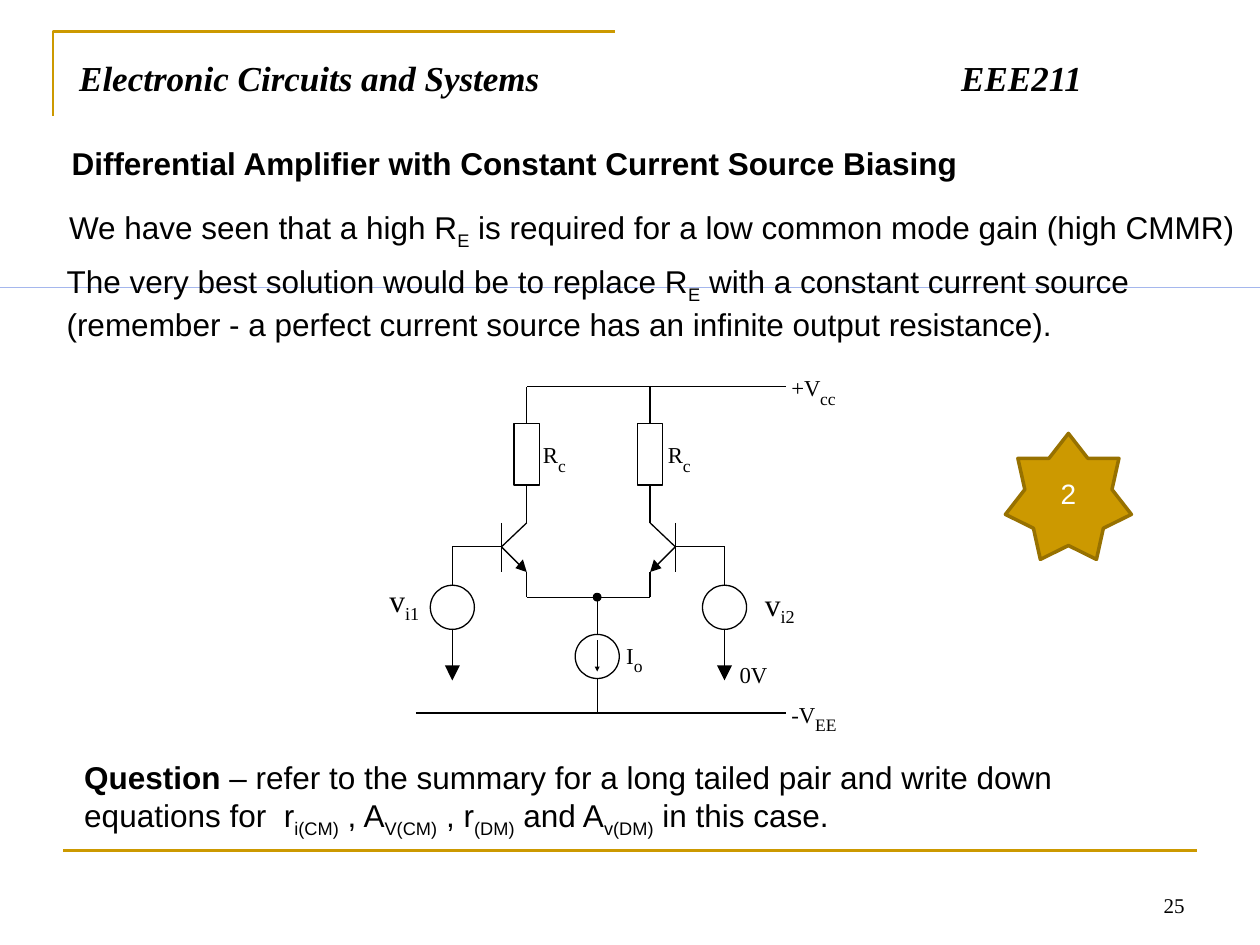
from lxml import etree
from pptx import Presentation
from pptx.dml.color import RGBColor
from pptx.enum.shapes import MSO_CONNECTOR, MSO_SHAPE
from pptx.enum.text import MSO_ANCHOR, MSO_AUTO_SIZE, PP_ALIGN
from pptx.oxml.ns import qn
from pptx.util import Inches, Pt

COLORS = {"gold": "CC9900", "dark_gold": "977100", "blue": "0033CC",
          "black": "000000", "white": "FFFFFF"}
STRAIGHT = MSO_CONNECTOR.STRAIGHT
RECTANGLE, OVAL, STAR = MSO_SHAPE.RECTANGLE, MSO_SHAPE.OVAL, MSO_SHAPE.STAR_7_POINT
TOP, MIDDLE, BOTTOM = MSO_ANCHOR.TOP, MSO_ANCHOR.MIDDLE, MSO_ANCHOR.BOTTOM
LEFT, CENTER, RIGHT = PP_ALIGN.LEFT, PP_ALIGN.CENTER, PP_ALIGN.RIGHT
GROW = MSO_AUTO_SIZE.SHAPE_TO_FIT_TEXT
SERIF, SANS = "Times New Roman", "Arial"


def style(shape, fill=None, line=None, width=0.75):
    """Set fill and outline of a shape, and remove its shadow."""
    shape.shadow.inherit = False
    if fill:
        shape.fill.solid()
        shape.fill.fore_color.rgb = RGBColor.from_string(COLORS[fill])
    else:
        shape.fill.background()
    if line:
        shape.line.color.rgb = RGBColor.from_string(COLORS[line])
        shape.line.width = Pt(width)
    else:
        shape.line.fill.background()


def write(shape, text, size, font, color="black", align=LEFT, anchor=TOP, inset=True, wrap=True):
    """Write one paragraph; every second part between underscores is a subscript."""
    frame = shape.text_frame
    frame.word_wrap = wrap
    frame.vertical_anchor = anchor
    if not wrap:
        frame.auto_size = GROW
    if not inset:
        frame.margin_left = frame.margin_top = frame.margin_right = frame.margin_bottom = 0
    paragraph = frame.paragraphs[0]
    paragraph.alignment = align
    paragraph.font.size = Pt(size)
    paragraph.font.name = font
    paragraph.font.color.rgb = RGBColor.from_string(COLORS[color])
    for index, part in enumerate(text.split("_")):
        if part:
            run = paragraph.add_run()
            run.text = part
            if index % 2:
                run._r.get_or_add_rPr().set("baseline", "-25000")
    return paragraph


presentation = Presentation()
presentation.slide_width, presentation.slide_height = Inches(10), Inches(7.5)
slide = presentation.slides.add_slide(presentation.slide_layouts[6])
shapes = slide.shapes

# Corner frame and hairline across the slide
builder = shapes.build_freeform(Inches(0.42), Inches(0.92))
builder.add_line_segments([(Inches(0.42), Inches(0.25)), (Inches(4.88), Inches(0.25))], close=False)
style(builder.convert_to_shape(), line="gold", width=1.5)
hairline = shapes.add_shape(RECTANGLE, 0, Inches(2.28), Inches(10), 0)
style(hairline, fill="blue")

# Header with tab stops at each inch, and page number
header = shapes.add_textbox(Inches(0.53), Inches(0.4), Inches(8.92), Inches(0.61))
paragraph = write(header, "Electronic Circuits and Systems\t\t\t\tEEE211", 20, SERIF)
paragraph.font.bold = paragraph.font.italic = True
tab_list = etree.Element(qn("a:tabLst"))
for inch in range(4, 8):
    etree.SubElement(tab_list, qn("a:tab"), pos=str(Inches(inch)), algn="l")
paragraph._p.get_or_add_pPr().insert(0, tab_list)

page_number = shapes.add_textbox(Inches(7.17), Inches(6.83), Inches(2.33), Inches(0.5))
write(page_number, "25", 12, SERIF, align=RIGHT, anchor=BOTTOM)

# Heading and body text
heading = shapes.add_textbox(Inches(0.47), Inches(1.09), Inches(8.2), Inches(0.4))
paragraph = write(heading, "Differential Amplifier with Constant Current Source Biasing", 18, SANS)
paragraph.font.bold = True

body_texts = [
    (0.45, 1.6, 9.55, 0.4, "We have seen that a high R_E_ is required for a low common mode gain "
     "(high CMMR)"),
    (0.43, 2.03, 8.91, 0.7, "The very best solution would be to replace R_E_ with a constant "
     "current source (remember - a perfect current source has an infinite output resistance)."),
]
for left, top, width, height, text in body_texts:
    box = shapes.add_textbox(Inches(left), Inches(top), Inches(width), Inches(height))
    write(box, text, 18, SANS)

question = shapes.add_textbox(Inches(0.57), Inches(5.97), Inches(8.91), Inches(0.7))
paragraph = write(question, "Question__ – refer to the summary for a long tailed pair and write down "
                  "equations for  r_i(CM)_ , A_V(CM)_ , r_(DM)_ and A_v(DM)_ in this case.", 18, SANS)
paragraph.runs[0].font.bold = True

# Circuit geometry: the two halves mirror each other
TAIL = 4.74
SUPPLY, BASE, EMITTER, JOINT, GROUND, NEGATIVE = 3.07, 4.34, 4.54, 4.74, 5.28, 5.66
HALVES = [(4.18, -1), (5.16, 1)]  # collector x, outward direction
wires = [(4.18, SUPPLY, 6.24, SUPPLY), (4.18, JOINT, 5.16, JOINT),
         (3.3, NEGATIVE, 6.24, NEGATIVE), (TAIL, JOINT, TAIL, 5.03),
         (TAIL, 5.08, TAIL, 5.29), (TAIL, 5.38, TAIL, NEGATIVE)]
triangles = [[(TAIL - 0.02, 5.29), (TAIL + 0.02, 5.29), (TAIL, 5.33)]]
circles = [(TAIL, 5.21, 0.35, "white"), (TAIL, JOINT, 0.06, "black")]
resistor_wires = []

for collector, out in HALVES:
    bar, source = collector + 0.2 * out, collector + 0.59 * out
    resistor = shapes.add_shape(RECTANGLE, Inches(collector - 0.1), Inches(3.36),
                                Inches(0.2), Inches(0.49))
    style(resistor, "white", "black")
    resistor_wires += [(resistor, 0, collector, SUPPLY), (resistor, 2, collector, 4.15)]
    circles.append((source, 4.82, 0.35, "white"))
    wires += [(bar, 4.15, bar, EMITTER), (bar, BASE, collector, 4.15),
              (bar, BASE, collector + 0.05 * out, 4.49),
              (collector, EMITTER, collector, JOINT),
              (source, 4.64, source, BASE), (source, BASE, bar, BASE),
              (source, 4.99, source, 5.32)]
    triangles += [[(collector, EMITTER), (collector + 0.09 * out, 4.51),
                   (collector + 0.03 * out, 4.44)],
                  [(source - 0.06, GROUND), (source + 0.06, GROUND), (source, 5.4)]]

# Sources and junction dot
for center_x, center_y, size, fill in circles:
    circle = shapes.add_shape(OVAL, Inches(center_x - size / 2), Inches(center_y - size / 2),
                              Inches(size), Inches(size))
    style(circle, fill, "black")

# Wires, with the bottom rule of the slide
connectors = []
for x1, y1, x2, y2 in wires:
    connector = shapes.add_connector(STRAIGHT, Inches(x1), Inches(y1), Inches(x2), Inches(y2))
    connectors.append((connector, "black", 0.75))
for resistor, side, x, y in resistor_wires:
    connector = shapes.add_connector(STRAIGHT, Inches(x), Inches(3.6), Inches(x), Inches(y))
    connector.begin_connect(resistor, side)
    connectors.append((connector, "black", 0.75))
bottom_rule = shapes.add_connector(STRAIGHT, Inches(0.5), Inches(6.75), Inches(9.5), Inches(6.75))
connectors.append((bottom_rule, "gold", 1.5))
for connector, color, width in connectors:
    connector.line.color.rgb = RGBColor.from_string(COLORS[color])
    connector.line.width = Pt(width)
    etree.SubElement(connector._element.spPr, qn("a:effectLst"))

# Arrow tips and grounds
for start, *others in triangles:
    builder = shapes.build_freeform(Inches(start[0]), Inches(start[1]))
    builder.add_line_segments([(Inches(x), Inches(y)) for x, y in others])
    style(builder.convert_to_shape(), "black")

# Circuit labels: letter, then a smaller index set lower; slack keeps each on one line
SLACK = 0.02
labels = [(4.31, 3.5, 0.12, "R", "c", 0.06), (5.3, 3.5, 0.12, "R", "c", 0.06),
          (6.28, 2.97, 0.23, "+V", "cc", 0.12), (6.28, 5.56, 0.19, "-V", "EE", 0.17),
          (4.97, 5.09, 0.06, "I", "o", 0.07), (5.87, 5.24, 0.22, "0V", "", 0)]
for left, top, width, letter, index, index_width in labels:
    parts = [(left, top, width, 0.22, letter, 13),
             (left + width, top + 0.11, index_width, 0.17, index, 10)]
    for x, y, part_width, height, text, size in parts:
        if text:
            box = shapes.add_textbox(Inches(x), Inches(y), Inches(part_width + SLACK), Inches(height))
            write(box, text, size, SERIF, inset=False, wrap=False)
for left, top, text in [(3.09, 4.61, "v_i1_"), (6.07, 4.64, "v_i2_")]:
    box = shapes.add_textbox(Inches(left), Inches(top), Inches(0.33), Inches(0.3))
    write(box, text, 18, SERIF, inset=False)

# Numbered star
star = shapes.add_shape(STAR, Inches(7.98), Inches(3.44), Inches(1), Inches(1))
style(star, "gold", "dark_gold", 2)
write(star, "2", 16, SANS, "white", CENTER, MIDDLE)

presentation.save("out.pptx")
